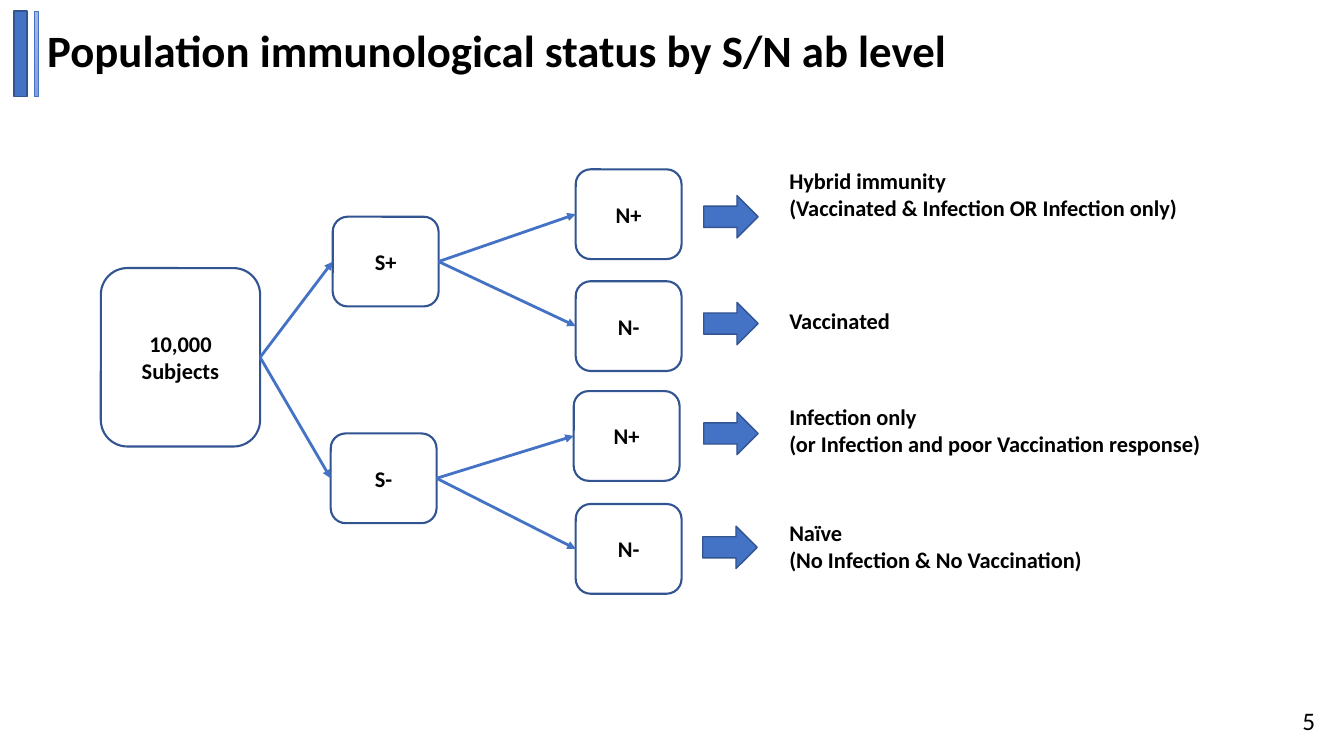
from dataclasses import dataclass

from lxml import etree
from pptx import Presentation
from pptx.dml.color import RGBColor
from pptx.enum.shapes import MSO_CONNECTOR, MSO_SHAPE
from pptx.enum.text import MSO_ANCHOR, PP_ALIGN
from pptx.oxml.ns import qn
from pptx.util import Emu, Pt

PX = 9144  # 100 px to the inch
BLUE, OUTLINE, BLACK = "4472C4", "325491", "000000"
LEFT_SIDE, RIGHT_SIDE = 1, 3  # connection sites of a rounded rectangle


@dataclass
class Node:
    name: str
    text: str
    left: int
    top: int
    width: int = 105
    height: int = 89
    parent: str = ""


@dataclass
class Outcome:
    text: str
    top: int
    width: int
    height: int
    arrow_left: int
    arrow_top: int


NODES = [
    Node("all", "10,000\nSubjects", 100, 266, 158, 177),
    Node("S+", "S+", 330, 215, parent="all"),
    Node("S-", "S-", 328, 430, parent="all"),
    Node("S+N+", "N+", 571, 168, parent="S+"),
    Node("S+N-", "N-", 571, 279, parent="S+"),
    Node("S-N+", "N+", 569, 388, parent="S-"),
    Node("S-N-", "N-", 571, 500, parent="S-"),
]
OUTCOMES = [
    Outcome("Hybrid immunity\n(Vaccinated & Infection OR Infection only)", 161, 449, 91, 698, 194),
    Outcome("Vaccinated", 300, 221, 37, 698, 300),
    Outcome("Infection only\n(or Infection and poor Vaccination response)", 395, 491, 64, 698, 409),
    Outcome("Naïve\n(No Infection & No Vaccination)", 510, 342, 64, 697, 522),
]


def color(value: str) -> RGBColor:
    return RGBColor.from_string(value)


def lengths(*values: int) -> list[Emu]:
    return [Emu(value * PX) for value in values]


def write(shape, text: str, *, size: int = 16, bold: bool = True, align=PP_ALIGN.LEFT,
          anchor=MSO_ANCHOR.TOP, spacing: float = 1.0, wrap: bool = True) -> None:
    frame = shape.text_frame
    frame.word_wrap = wrap
    frame.vertical_anchor = anchor
    frame.text = text
    for para in frame.paragraphs:
        para.alignment = align
        para.line_spacing = spacing
        for span in para.runs:
            span.font.name = "Calibri"
            span.font.size = Pt(size)
            span.font.bold = bold
            span.font.color.rgb = color(BLACK)


def add_text(page, text: str, left: int, top: int, width: int, height: int, **text_format) -> None:
    box = page.shapes.add_textbox(*lengths(left, top, width, height))
    write(box, text, **text_format)


def add_box(page, preset, left: int, top: int, width: int, height: int, *,
            fill: str = "", line: str = OUTLINE, weight: float = 1):
    box = page.shapes.add_shape(preset, *lengths(left, top, width, height))
    box.shadow.inherit = False
    if fill:
        box.fill.solid()
        box.fill.fore_color.rgb = color(fill)
    else:
        box.fill.background()
    box.line.color.rgb = color(line)
    box.line.width = Pt(weight)
    return box


def add_branch(page, parent, child) -> None:
    branch = page.shapes.add_connector(MSO_CONNECTOR.STRAIGHT, 0, 0, 0, 0)
    branch.begin_connect(parent, RIGHT_SIDE)
    branch.end_connect(child, LEFT_SIDE)
    branch.line.color.rgb = color(BLUE)
    branch.line.width = Pt(2)
    properties = branch._element.spPr
    etree.SubElement(properties.find(qn("a:ln")), qn("a:tailEnd"), type="triangle")
    etree.SubElement(properties, qn("a:effectLst"))


def add_heading(page) -> None:
    add_text(page, "Population immunological status by S/N ab level", 37, 13, 928, 80,
             size=32, anchor=MSO_ANCHOR.MIDDLE, spacing=0.9)
    add_box(page, MSO_SHAPE.RECTANGLE, 14, 11, 13, 85, fill=BLUE)
    thin_bar = add_box(page, MSO_SHAPE.RECTANGLE, 34, 11, 4, 85, line=BLUE, weight=0.5)
    thin_bar.fill.gradient()
    thin_bar.fill.gradient_angle = 270
    for stop, shade in zip(thin_bar.fill.gradient_stops, ("A8B7DF", "889ED7")):
        stop.color.rgb = color(shade)


def add_tree(page) -> None:
    boxes = {}
    for node in NODES:
        box = add_box(page, MSO_SHAPE.ROUNDED_RECTANGLE, node.left, node.top,
                      node.width, node.height, weight=1.5)
        write(box, node.text, align=PP_ALIGN.CENTER, anchor=MSO_ANCHOR.MIDDLE)
        boxes[node.name] = box
    for node in NODES:
        if node.parent:
            add_branch(page, boxes[node.parent], boxes[node.name])


def add_outcomes(page) -> None:
    for outcome in OUTCOMES:
        add_box(page, MSO_SHAPE.RIGHT_ARROW, outcome.arrow_left, outcome.arrow_top, 54, 42, fill=BLUE)
        add_text(page, outcome.text, 773, outcome.top, outcome.width, outcome.height)


def main() -> None:
    deck = Presentation()
    deck.slide_width, deck.slide_height = lengths(1333, 750)
    page = deck.slides.add_slide(deck.slide_layouts[6])
    add_tree(page)
    add_outcomes(page)
    add_heading(page)
    # Page number
    add_text(page, "5", 1282, 695, 33, 40, size=18, bold=False, wrap=False)
    deck.save("out.pptx")


if __name__ == "__main__":
    main()
